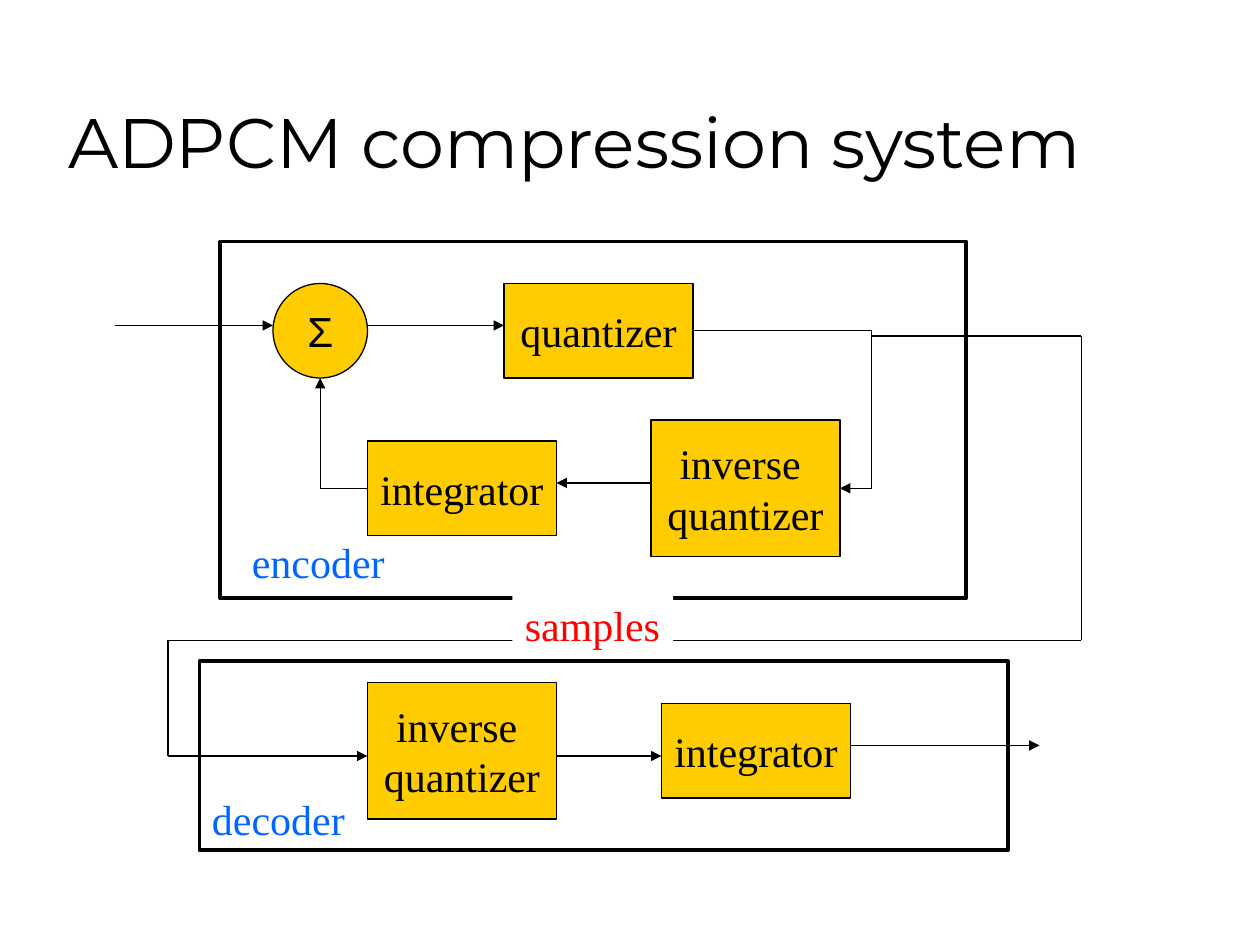
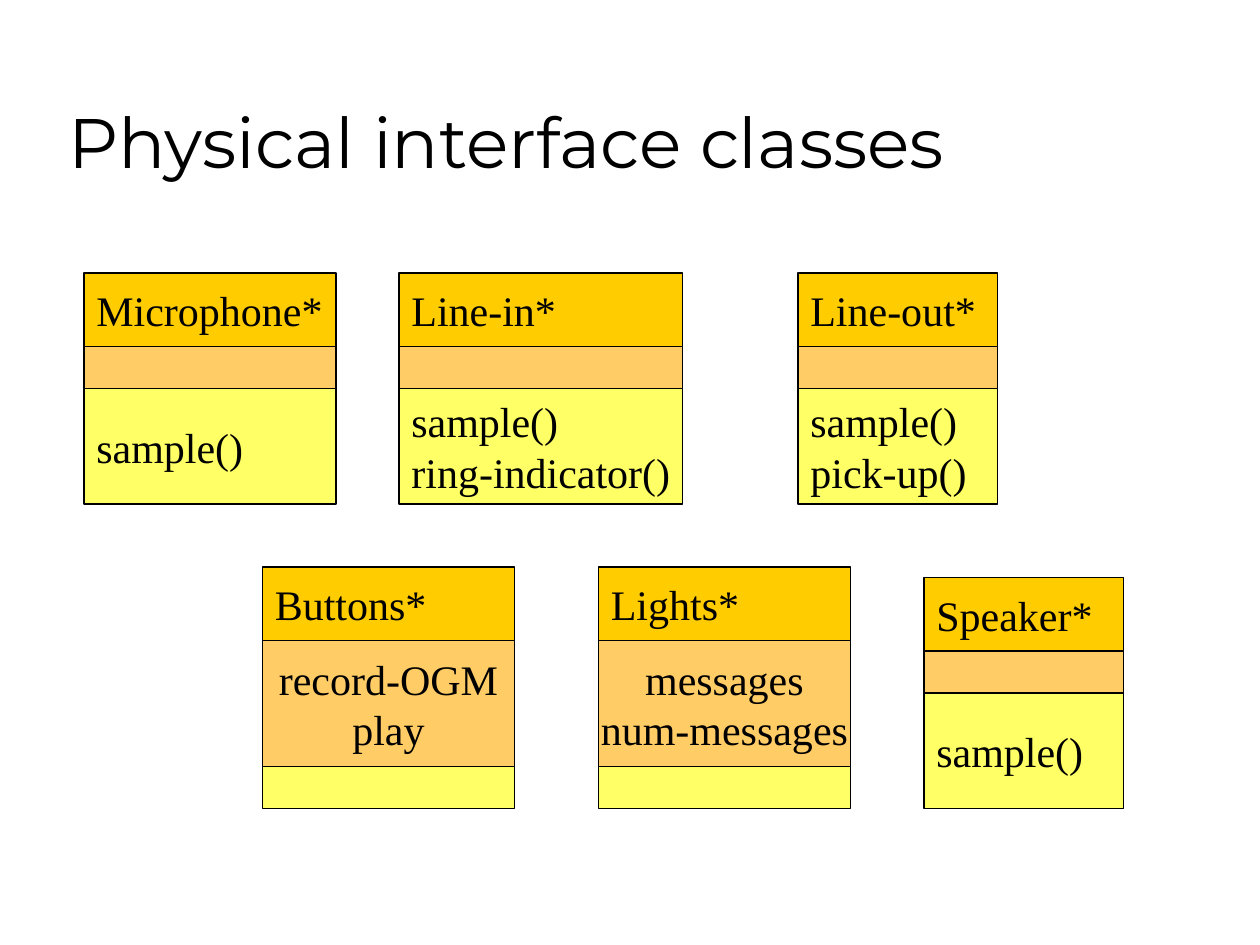
from itertools import pairwise

from lxml.etree import SubElement
from pptx import Presentation
from pptx.dml.color import RGBColor
from pptx.enum.shapes import MSO_CONNECTOR, MSO_SHAPE
from pptx.enum.text import MSO_ANCHOR, MSO_AUTO_SIZE, PP_ALIGN
from pptx.oxml.ns import qn
from pptx.util import Inches, Pt

COLORS = {
    "ink": "000000",
    "paper": "FFFFFF",
    "gold": "FFCC00",
    "apricot": "FFCC66",
    "lemon": "FFFF66",
    "stage": "0066FF",
    "signal": "FF0000",
}
TITLE_FONT, BODY_FONT, SYMBOL_FONT = "Montserrat", "Times New Roman", "Arial"
CELL = Inches(1) / 12  # the drawing grid has twelve cells to the inch
BLOCK_WIDTH, BLOCK_HEIGHT, TALL_BLOCK = 18, 9, 13
LABEL_WIDTH, LABEL_HEIGHT = 15.3, 6
NAME_ROWS, EMPTY_ROWS, ATTRIBUTE_ROWS, METHOD_ROWS = 7, 4, 12, 11


def color(name):
    return RGBColor.from_string(COLORS[name])


def grid(*cells):
    return [round(cell * CELL) for cell in cells]


def format_text(frame, size, font, ink="ink", align=PP_ALIGN.LEFT):
    for para in frame.paragraphs:
        para.alignment = align
        for span in para.runs:
            span.font.size = Pt(size)
            span.font.name = font
            span.font.color.rgb = color(ink)


def add_page(deck, title):
    page = deck.slides.add_slide(deck.slide_layouts[5])
    box = page.shapes.title
    box.left, box.top = Inches(0.44), Inches(0.25)
    box.width, box.height = Inches(8.5), Inches(1.25)
    frame = box.text_frame
    frame.text = title
    frame.auto_size = MSO_AUTO_SIZE.NONE
    frame.vertical_anchor = MSO_ANCHOR.BOTTOM
    format_text(frame, 40, TITLE_FONT)
    return page


def add_block(page, box, text="", fill="gold", align=PP_ALIGN.CENTER,
              shape=MSO_SHAPE.RECTANGLE, font=BODY_FONT, line=0.75):
    block = page.shapes.add_shape(shape, *grid(*box))
    block.shadow.inherit = False
    if fill:
        block.fill.solid()
        block.fill.fore_color.rgb = color(fill)
    else:
        block.fill.background()
    block.line.color.rgb = color("ink")
    block.line.width = Pt(line)
    if text:
        frame = block.text_frame
        frame.text = text
        frame.word_wrap = False
        frame.vertical_anchor = MSO_ANCHOR.MIDDLE
        format_text(frame, 24, font, align=align)


def add_label(page, corner, text, ink):
    label = page.shapes.add_textbox(*grid(*corner, LABEL_WIDTH, LABEL_HEIGHT))
    frame = label.text_frame
    frame.text = text
    frame.word_wrap = False
    frame.auto_size = MSO_AUTO_SIZE.SHAPE_TO_FIT_TEXT
    format_text(frame, 24, BODY_FONT, ink)
    return label


def add_wire(page, start, end, arrow=True, kind=MSO_CONNECTOR.STRAIGHT):
    wire = page.shapes.add_connector(kind, *grid(*start, *end))
    wire.line.color.rgb = color("ink")
    wire.line.width = Pt(0.75)
    if arrow:
        line = wire.element.spPr.find(qn("a:ln"))
        SubElement(line, qn("a:tailEnd"), type="triangle")
    SubElement(wire.element.spPr, qn("a:effectLst"))
    return wire


def add_elbow(page, start, end, preset, bend=None):
    """Bend is the share of the width at which a three-part elbow turns."""
    elbow = add_wire(page, start, end, kind=MSO_CONNECTOR.ELBOW)
    geometry = elbow.element.spPr.find(qn("a:prstGeom"))
    geometry.set("prst", preset)
    if bend is not None:
        SubElement(geometry.find(qn("a:avLst")), qn("a:gd"),
                   name="adj1", fmla=f"val {round(bend * 100000)}")


def draw_encoder(page, box):
    left, top, _, _ = box

    def at(column, row):
        return left + column, top + row

    add_block(page, (*at(27, 4), BLOCK_WIDTH, BLOCK_HEIGHT), "quantizer")
    add_block(page, (*at(14, 19), BLOCK_WIDTH, BLOCK_HEIGHT), "integrator")
    add_block(page, (*at(41, 17), BLOCK_WIDTH, TALL_BLOCK), "inverse \nquantizer")
    add_block(page, (*at(5, 4), BLOCK_HEIGHT, BLOCK_HEIGHT), "Σ",
              shape=MSO_SHAPE.OVAL, font=SYMBOL_FONT)
    add_wire(page, at(-10, 8), at(5, 8))
    add_wire(page, at(14, 8), at(27, 8))
    add_wire(page, at(41, 23), at(32, 23))
    add_elbow(page, at(45, 8.5), at(59, 23.5), "bentConnector3", bend=17 / 14)
    add_elbow(page, at(14, 23.5), at(9.5, 13), "bentConnector2")
    add_block(page, box, fill=None, line=2.25)
    add_label(page, at(1.8, 27.55), "encoder", "stage")


def draw_decoder(page, box):
    left, top, _, _ = box

    def at(column, row):
        return left + column, top + row

    add_block(page, (*at(16, 2), BLOCK_WIDTH, TALL_BLOCK), "inverse \nquantizer")
    add_block(page, (*at(44, 4), BLOCK_WIDTH, BLOCK_HEIGHT), "integrator")
    add_wire(page, at(34, 9), at(44, 9))
    add_wire(page, at(62, 8), at(80, 8))
    add_block(page, box, fill=None, line=2.25)
    add_label(page, at(0, 12), "decoder", "stage")


def draw_sample_feed(page, corners):
    """Carry the samples from the encoder around to the decoder."""
    for start, end in pairwise(corners):
        add_wire(page, start, end, arrow=end == corners[-1])
    label = add_label(page, (48.8, 56.55), "samples", "signal")
    label.fill.solid()
    label.fill.fore_color.rgb = color("paper")


def draw_class(page, corner, width, name, attributes="", methods=""):
    left, top = corner
    sections = [
        (name, NAME_ROWS, "gold", PP_ALIGN.LEFT),
        (attributes, ATTRIBUTE_ROWS if attributes else EMPTY_ROWS,
         "apricot", PP_ALIGN.CENTER),
        (methods, METHOD_ROWS if methods else EMPTY_ROWS,
         "lemon", PP_ALIGN.LEFT),
    ]
    for text, rows, fill, align in sections:
        add_block(page, (left, top, width, rows), text, fill, align)
        top += rows


def build_compression_page(deck):
    page = add_page(deck, "ADPCM compression system")
    draw_encoder(page, (21, 23, 71, 34))
    draw_decoder(page, (19, 63, 77, 18))
    draw_sample_feed(page, [(83, 32), (103, 32), (103, 61),
                            (16, 61), (16, 72), (35, 72)])


def build_classes_page(deck):
    page = add_page(deck, "Physical interface classes")
    draw_class(page, (76, 26), 19, "Line-out*", methods="sample()\npick-up()")
    draw_class(page, (8, 26), 24, "Microphone*", methods="sample()")
    draw_class(page, (38, 26), 27, "Line-in*",
               methods="sample()\nring-indicator()")
    draw_class(page, (88, 55), 19, "Speaker*", methods="sample()")
    draw_class(page, (25, 54), 24, "Buttons*", attributes="record-OGM\nplay")
    draw_class(page, (57, 54), 24, "Lights*",
               attributes="messages\nnum-messages")


def main():
    deck = Presentation()
    deck.slide_width, deck.slide_height = Inches(10), Inches(7.5)
    build_compression_page(deck)
    build_classes_page(deck)
    deck.save("out.pptx")


if __name__ == "__main__":
    main()
